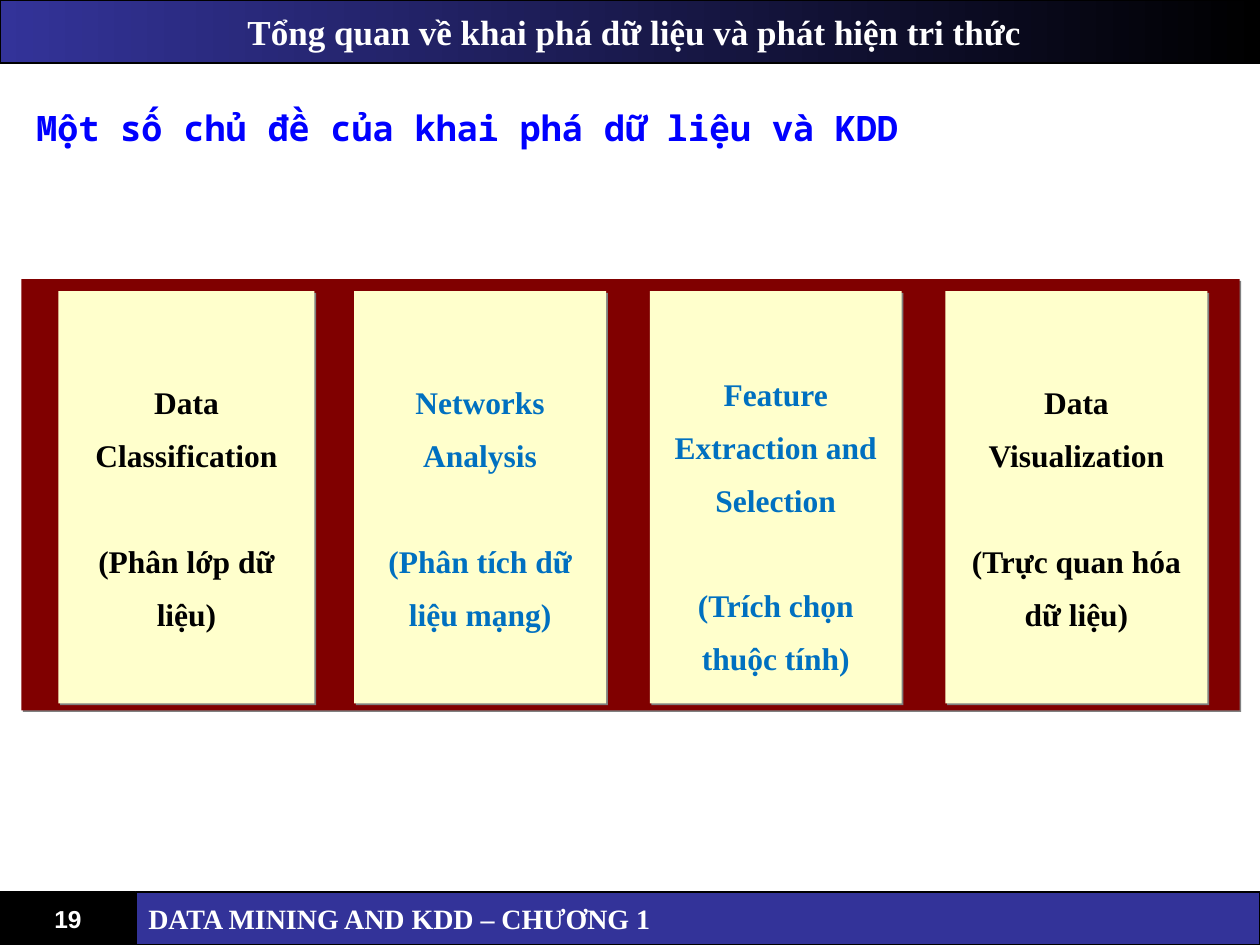
from lxml import etree
from pptx import Presentation
from pptx.dml.color import RGBColor
from pptx.enum.shapes import MSO_SHAPE
from pptx.enum.text import MSO_ANCHOR, MSO_AUTO_SIZE, PP_ALIGN
from pptx.oxml.ns import qn
from pptx.util import Cm, Pt

RECTANGLE = MSO_SHAPE.RECTANGLE
MIDDLE = MSO_ANCHOR.MIDDLE
NO_AUTOFIT = MSO_AUTO_SIZE.NONE
LEFT, CENTER = PP_ALIGN.LEFT, PP_ALIGN.CENTER

SERIF, SANS, MONO = "Times New Roman", "Arial", "Noto Sans Mono"
BLACK, WHITE, NAVY, BLUE = "000000", "FFFFFF", "333399", "0070C0"
MAROON, CREAM, GREY, TITLE_BLUE = "800000", "FFFFCC", "808080", "0000FF"

BANNER = "Tổng quan về khai phá dữ liệu và phát hiện tri thức"
TITLE = "Một số chủ đề của khai phá dữ liệu và KDD"
FOOTER = "DATA MINING AND KDD – CHƯƠNG 1"
PAGE_NUMBER = "19"

# English name, Vietnamese name, text colour, width in cm, top inset in cm
TOPICS = [
    ("Data Classification", "(Phân lớp dữ liệu)", BLACK, 5.16, 0.25),
    ("Networks Analysis", "(Phân tích dữ liệu mạng)", BLUE, 5.08, 0.25),
    ("Feature Extraction and Selection", "(Trích chọn thuộc tính)", BLUE, 5.08, 0.99),
    ("Data Visualization", "(Trực quan hóa dữ liệu)", BLACK, 5.28, 0.25),
]
CARD_LEFT, CARD_PITCH, CARD_TOP, CARD_HEIGHT = 1.18, 5.96, 5.87, 8.31

SLIDE_WIDTH, SLIDE_HEIGHT = 25.4, 19.05
BAR_HEIGHT, NUMBER_WIDTH = 1.07, 2.74


def color(value):
    return RGBColor.from_string(value)


def add_box(slide, left, top, width, height, fill, line=None):
    shape = slide.shapes.add_shape(RECTANGLE, Cm(left), Cm(top), Cm(width), Cm(height))
    shape.shadow.inherit = False
    shape.fill.solid()
    shape.fill.fore_color.rgb = color(fill)
    if line:
        shape.line.color.rgb = color(line)
        shape.line.width = Pt(0.75)
    else:
        shape.line.fill.background()
    return shape


def add_shadow(shape):
    """Give the shape a hard grey shadow towards the lower right."""
    effects = shape._element.spPr.find(qn("a:effectLst"))
    shadow = etree.SubElement(effects, qn("a:outerShdw"), dist=str(Pt(1.4)),
                              dir="2700000", algn="ctr", rotWithShape="0")
    etree.SubElement(shadow, qn("a:srgbClr"), val=GREY)


def write(shape, lines, size, font, text_color, alignment):
    frame = shape.text_frame
    frame.text = "\n".join(lines)
    frame.auto_size = NO_AUTOFIT
    frame.word_wrap = True
    frame.vertical_anchor = MIDDLE
    for paragraph in frame.paragraphs:
        paragraph.alignment = alignment
        paragraph.font.size = Pt(size)
        paragraph.font.name = font
        paragraph.font.bold = True
        paragraph.font.color.rgb = color(text_color)


def add_topics(slide):
    add_shadow(add_box(slide, 0.43, 5.63, 24.56, 8.69, MAROON))
    for index, (english, vietnamese, text_color, width, inset) in enumerate(TOPICS):
        card = add_box(slide, CARD_LEFT + index * CARD_PITCH, CARD_TOP,
                       width, CARD_HEIGHT, CREAM)
        add_shadow(card)
        write(card, [english, vietnamese], 18, SERIF, text_color, CENTER)
        card.text_frame.margin_top = Cm(inset)
        for paragraph in card.text_frame.paragraphs:
            paragraph.line_spacing = 1.4
        card.text_frame.paragraphs[1].space_before = Pt(30)


def add_bars(slide):
    banner = add_box(slide, 0, 0, SLIDE_WIDTH, 1.27, NAVY, BLACK)
    banner.fill.gradient()
    banner.fill.gradient_angle = 0
    for stop, value, position in zip(banner.fill.gradient_stops, (NAVY, BLACK), (0, 1)):
        stop.color.rgb = color(value)
        stop.position = position
    write(banner, [BANNER], 20, SERIF, WHITE, CENTER)
    banner.text_frame.margin_left = Cm(0.43)

    bar_top = SLIDE_HEIGHT - BAR_HEIGHT
    number = add_box(slide, 0, bar_top, NUMBER_WIDTH, BAR_HEIGHT, BLACK, BLACK)
    write(number, [PAGE_NUMBER], 14, SANS, WHITE, CENTER)
    footer = add_box(slide, NUMBER_WIDTH, bar_top, SLIDE_WIDTH - NUMBER_WIDTH,
                     BAR_HEIGHT, NAVY, BLACK)
    write(footer, [FOOTER], 16, SERIF, WHITE, LEFT)


def main():
    presentation = Presentation()
    presentation.slide_width, presentation.slide_height = Cm(SLIDE_WIDTH), Cm(SLIDE_HEIGHT)
    slide = presentation.slides.add_slide(presentation.slide_layouts[5])

    title = slide.shapes.title
    title.left, title.top, title.width, title.height = Cm(0.48), Cm(1.93), Cm(21.8), Cm(1.27)
    write(title, [TITLE], 20, MONO, TITLE_BLUE, LEFT)

    add_topics(slide)
    add_bars(slide)
    presentation.save("out.pptx")


if __name__ == "__main__":
    main()
